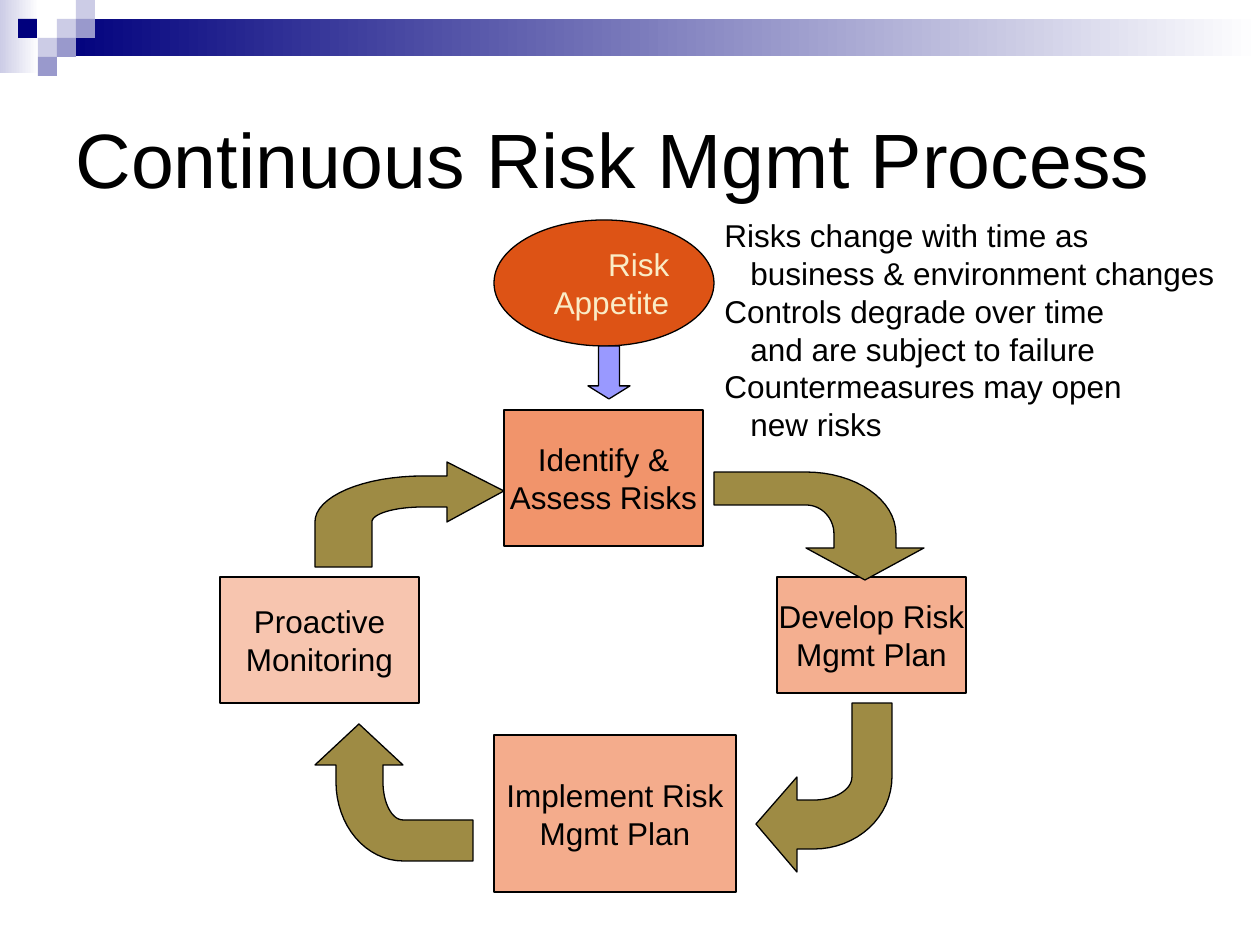
from math import cos, pi, sin

from lxml.etree import SubElement
from pptx import Presentation
from pptx.dml.color import RGBColor
from pptx.enum.shapes import MSO_SHAPE as SHAPE
from pptx.enum.text import MSO_ANCHOR as ANCHOR, PP_ALIGN as ALIGN
from pptx.oxml.ns import qn
from pptx.util import Emu, Pt

EMU_PER_PX = 914400 / 126
LINE_PITCH = Pt(21.6)
ARC_STEPS = 16

BLACK = RGBColor(0x00, 0x00, 0x00)
WHITE = RGBColor(0xFF, 0xFF, 0xFF)
NAVY = RGBColor(0x00, 0x00, 0x7D)
LAVENDER = RGBColor(0xCC, 0xCC, 0xE6)
PERIWINKLE = RGBColor(0x99, 0x99, 0xCC)
VIOLET = RGBColor(0x99, 0x99, 0xFF)
ORANGE = RGBColor(0xDD, 0x53, 0x15)
CREAM = RGBColor(0xFA, 0xEC, 0xC6)
OLIVE = RGBColor(0x9E, 0x8B, 0x44)
IDENTIFY = RGBColor(0xF1, 0x94, 0x6B)
DEVELOP = RGBColor(0xF4, 0xAF, 0x90)
IMPLEMENT = RGBColor(0xF4, 0xAC, 0x8C)
MONITOR = RGBColor(0xF7, 0xC5, 0xAF)

BANDS = [
    ((0, 0, 39, 73), LAVENDER),
    ((57, 19, 1203, 37), NAVY),
]
TILES = [
    ((57, 19), LAVENDER),
    ((76, 0), LAVENDER),
    ((76, 19), PERIWINKLE),
    ((38, 38), LAVENDER),
    ((18, 19), NAVY),
    ((57, 38), PERIWINKLE),
    ((38, 57), PERIWINKLE),
]
STEPS = [
    ((504, 410, 199, 136), IDENTIFY, ["Identify &", "Assess Risks"]),
    ((777, 577, 189, 116), DEVELOP, ["Develop Risk", "Mgmt Plan"]),
    ((494, 735, 242, 157), IMPLEMENT, ["Implement Risk", "Mgmt Plan"]),
    ((220, 577, 199, 126), MONITOR, ["Proactive", "Monitoring"]),
]
ARROWS = [
    dict(tip=(504, 491), neck=447, arc=(423, 522), wings=(462, 522),
         shaft=(476, 507), tail=(315, 372), end=567),
    dict(tip=(580, 865), neck=548, arc=(534, 806), wings=(924, 806),
         shaft=(896, 834), tail=(472, 505), end=714, vertical=True),
    dict(tip=(724, 359), neck=765, arc=(782, 403), wings=(315, 403),
         shaft=(336, 383), tail=(861, 820), end=473, vertical=True),
    dict(tip=(756, 824), neck=797, arc=(814, 777), wings=(872, 777),
         shaft=(849, 800), tail=(892, 852), end=703),
]
NOTES = [
    ("Risks change with time as", "business & environment changes"),
    ("Controls degrade over time", "and are subject to failure"),
    ("Countermeasures may open", "new risks"),
]


def px(n):
    return Emu(round(n * EMU_PER_PX))


def write(tf, lines, size=18, color=BLACK, align=ALIGN.LEFT, anchor=ANCHOR.MIDDLE,
          wrap=False, pitch=LINE_PITCH, indents=None):
    tf.word_wrap = wrap
    tf.vertical_anchor = anchor
    for i, line in enumerate(lines):
        p = tf.paragraphs[0] if i == 0 else tf.add_paragraph()
        p.alignment = align
        p.line_spacing = pitch
        if indents and indents[i]:
            p._p.get_or_add_pPr().set("marL", str(px(indents[i])))
        r = p.add_run()
        r.text = line
        r.font.name = "Arial"
        r.font.size = Pt(size)
        r.font.color.rgb = color


def paint(sp, fill, outlined=True):
    sp.shadow.inherit = False
    sp.fill.solid()
    sp.fill.fore_color.rgb = fill
    if outlined:
        sp.line.color.rgb = BLACK
        sp.line.width = Pt(0.75)
    else:
        sp.line.fill.background()


def add_shape(slide, kind, box, fill, outlined=True):
    sp = slide.shapes.add_shape(kind, *map(px, box))
    paint(sp, fill, outlined)
    return sp


def add_band(slide, box, color):
    sp = add_shape(slide, SHAPE.RECTANGLE, box, color, outlined=False)
    sp.fill.gradient()
    sp.fill.gradient_angle = 0
    for stop, rgb, position in zip(sp.fill.gradient_stops, (color, WHITE), (0, 1)):
        stop.color.rgb = rgb
        stop.position = position


def quarter_arc(start, corner, end):
    points = []
    for i in range(ARC_STEPS + 1):
        t = pi / 2 * i / ARC_STEPS
        points.append(tuple(s + e - c + (c - e) * cos(t) + (c - s) * sin(t)
                            for s, c, e in zip(start, corner, end)))
    return points


def add_bent_arrow(slide, tip, neck, arc, wings, shaft, tail, end, vertical=False):
    along, across = arc
    outer, inner = [((along, s), (t, s), (t, across)) for s, t in zip(shaft, tail)]
    outline = [tip, (neck, wings[0]), (neck, shaft[0]), *quarter_arc(*outer),
               (tail[0], end), (tail[1], end), *quarter_arc(*reversed(inner)),
               (neck, shaft[1]), (neck, wings[1])]
    points = [(px(b), px(a)) if vertical else (px(a), px(b)) for a, b in outline]
    builder = slide.shapes.build_freeform(*points[0])
    builder.add_line_segments(points[1:], close=True)
    paint(builder.convert_to_shape(), OLIVE)


def add_title(slide, text):
    title = slide.shapes.title
    title.left, title.top, title.width, title.height = map(px, (63, 63, 1134, 189))
    write(title.text_frame, [text], size=44, wrap=True, pitch=1.0)


def add_notes(slide, box):
    tf = slide.shapes.add_textbox(*map(px, box)).text_frame
    lines = [line for pair in NOTES for line in pair]
    write(tf, lines, anchor=ANCHOR.TOP, indents=[0, 26] * len(NOTES))
    SubElement(tf._txBody.bodyPr, qn("a:spAutoFit"))if tf.auto_size is None else None


def main():
    prs = Presentation()
    prs.slide_width, prs.slide_height = px(1260), px(945)
    slide = prs.slides.add_slide(prs.slide_layouts[5])
    for box, color in BANDS:
        add_band(slide, box, color)
    for corner, color in TILES:
        add_shape(slide, SHAPE.RECTANGLE, (*corner, 19, 19), color, outlined=False)
    add_title(slide, "Continuous Risk Mgmt Process")
    for box, color, lines in STEPS:
        sp = add_shape(slide, SHAPE.RECTANGLE, box, color)
        write(sp.text_frame, lines, align=ALIGN.CENTER)
    appetite = add_shape(slide, SHAPE.OVAL, (494, 220, 220, 126), ORANGE)
    write(appetite.text_frame, ["Risk", "Appetite"], color=CREAM, align=ALIGN.RIGHT)
    down = add_shape(slide, SHAPE.DOWN_ARROW, (588, 346, 42, 53), VIOLET)
    down.adjustments[1] = 0.31
    for arrow in ARROWS:
        add_bent_arrow(slide, **arrow)
    add_notes(slide, (712, 210, 515, 239))
    prs.save("out.pptx")


if __name__ == "__main__":
    main()
